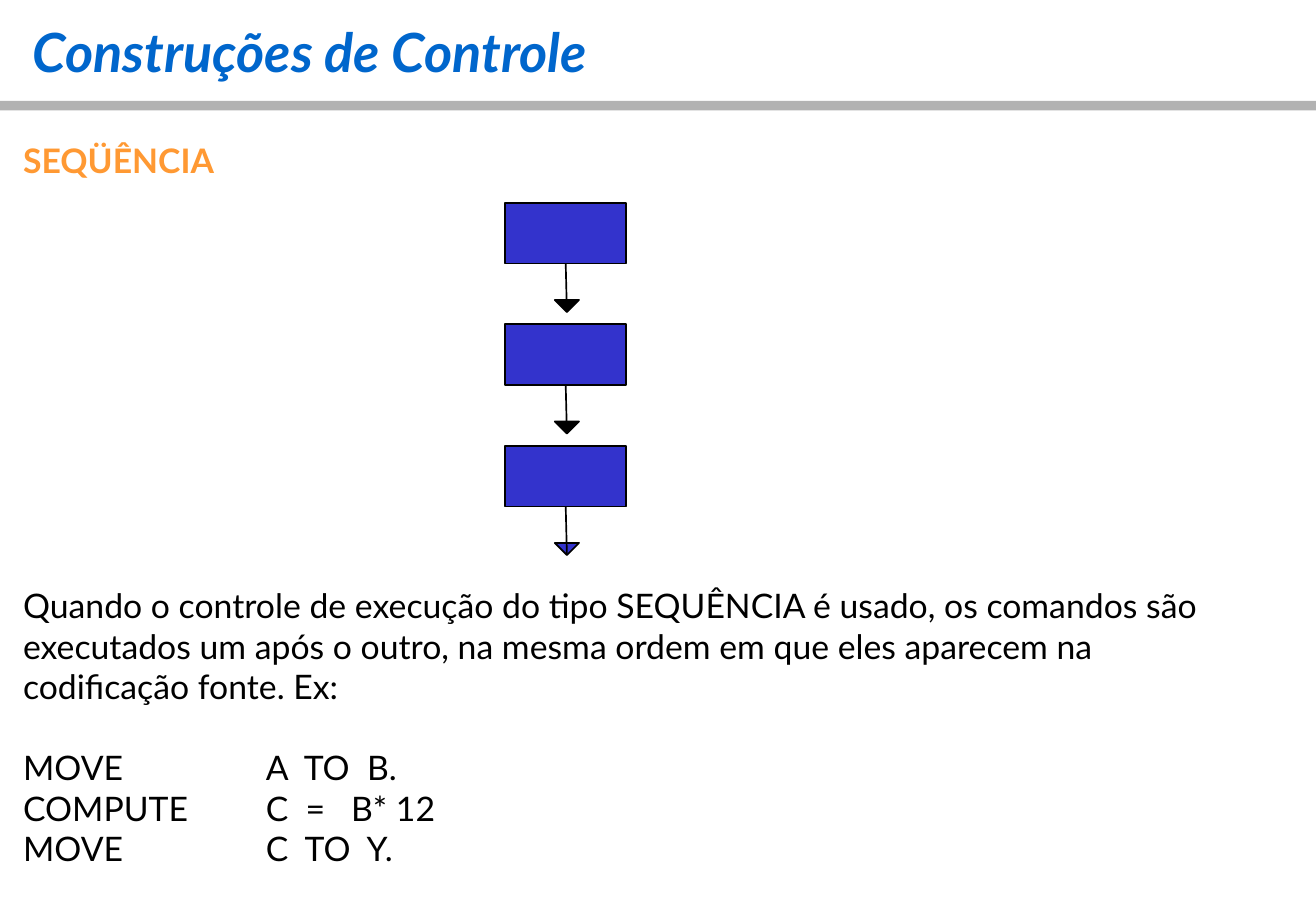
from pptx import Presentation
from pptx.dml.color import RGBColor
from pptx.enum.shapes import MSO_CONNECTOR, MSO_SHAPE
from pptx.oxml.ns import qn
from pptx.util import Pt
from lxml.etree import SubElement

# Content
TITLE = "Construções de Controle"
HEAD = "SEQÜÊNCIA"
BODY = ("Quando o controle de execução do tipo SEQUÊNCIA é usado, os comandos são "
        "executados um após o outro, na mesma ordem em que eles aparecem na "
        "codificação fonte. Ex:")
CODE = ["MOVE\tA  TO  B.", "COMPUTE\tC  =   B* 12", "MOVE\tC  TO  Y."]
TIPS = ["black", "blue"]
STEPS = ["black", "black", "blue"]  # arrow tip colour under each box

COLORS = {"title": "0066CC", "head": "FF9933", "black": "000000",
          "blue": "3333CC", "gray": "B2B2B2"}
FONT = "Lato"

# Layout in px, 100 to the inch
PX = 9144
WIDE, HIGH = 1084, 750
BOX_X, BOX_Y, BOX_W, BOX_H, PITCH = 416, 167, 100, 50, 100
TIP_X, TIP_W, TIP_H, DROP = 467, 20, 10, 40
PAD, TAB = 7, 200
LINE = 24  # points per text line


def px(*nums):
    return [n * PX for n in nums]


def tint(name):
    return RGBColor.from_string(COLORS[name])


def paint(shape, fill, line=None):
    shape.shadow.inherit = False
    shape.fill.solid()
    shape.fill.fore_color.rgb = tint(fill)
    if line:
        shape.line.color.rgb = tint(line)
        shape.line.width = Pt(1)
    else:
        shape.line.fill.background()


def frame(area, wrap):
    text = slide.shapes.add_textbox(*px(*area)).text_frame
    text.word_wrap = wrap
    text.margin_left = text.margin_right = PAD * PX
    text.margin_top = text.margin_bottom = PAD * PX
    return text


def write(para, text, size=20, color="black", bold=False, italic=False,
          before=0, tab=None):
    if tab:
        stops = SubElement(para._p.get_or_add_pPr(), qn("a:tabLst"))
        SubElement(stops, qn("a:tab"), pos=str(tab * PX), algn="l")
    para.space_before = Pt(before)
    run = para.add_run()
    run.text = text
    font = run.font
    font.name, font.size, font.bold, font.italic = FONT, Pt(size), bold, italic
    font.color.rgb = tint(color)


deck = Presentation()
deck.slide_width, deck.slide_height = px(WIDE, HIGH)
slide = deck.slides.add_slide(deck.slide_layouts[6])

# Title and rule
rule = slide.shapes.add_shape(MSO_SHAPE.RECTANGLE, *px(0, 83, WIDE, 8))
paint(rule, "gray")
title = frame((20, 8, 528, 67), False)
write(title.paragraphs[0], TITLE, size=32, color="title", bold=True, italic=True)

# Text, with room for the flow between heading and body
body = frame((12, 108, 1030, 614), True)
write(body.paragraphs[0], HEAD, color="head", bold=True)
write(body.add_paragraph(), BODY, before=10 * LINE)
for i, code in enumerate(CODE):
    write(body.add_paragraph(), code, before=0 if i else LINE, tab=TAB)

# Flow of boxes and arrows
for i, color in enumerate(STEPS):
    top = BOX_Y + i * PITCH
    box = slide.shapes.add_shape(MSO_SHAPE.RECTANGLE, *px(BOX_X, top, BOX_W, BOX_H))
    paint(box, "blue", "black")

    end = top + BOX_H + DROP
    left, right, base = TIP_X - TIP_W // 2, TIP_X + TIP_W // 2, end - TIP_H
    pen = slide.shapes.build_freeform(left, base, scale=PX)
    pen.add_line_segments([(right, base), (TIP_X, end)], close=True)
    paint(pen.convert_to_shape(), color, "black")

    stem = slide.shapes.add_connector(
        MSO_CONNECTOR.STRAIGHT, *px(BOX_X + BOX_W // 2, top + BOX_H, TIP_X, end))
    stem.begin_connect(box, 2)
    stem.line.color.rgb = tint("black")
    stem.line.width = Pt(1)
    SubElement(stem._element.spPr, qn("a:effectLst"))

deck.save("out.pptx")
